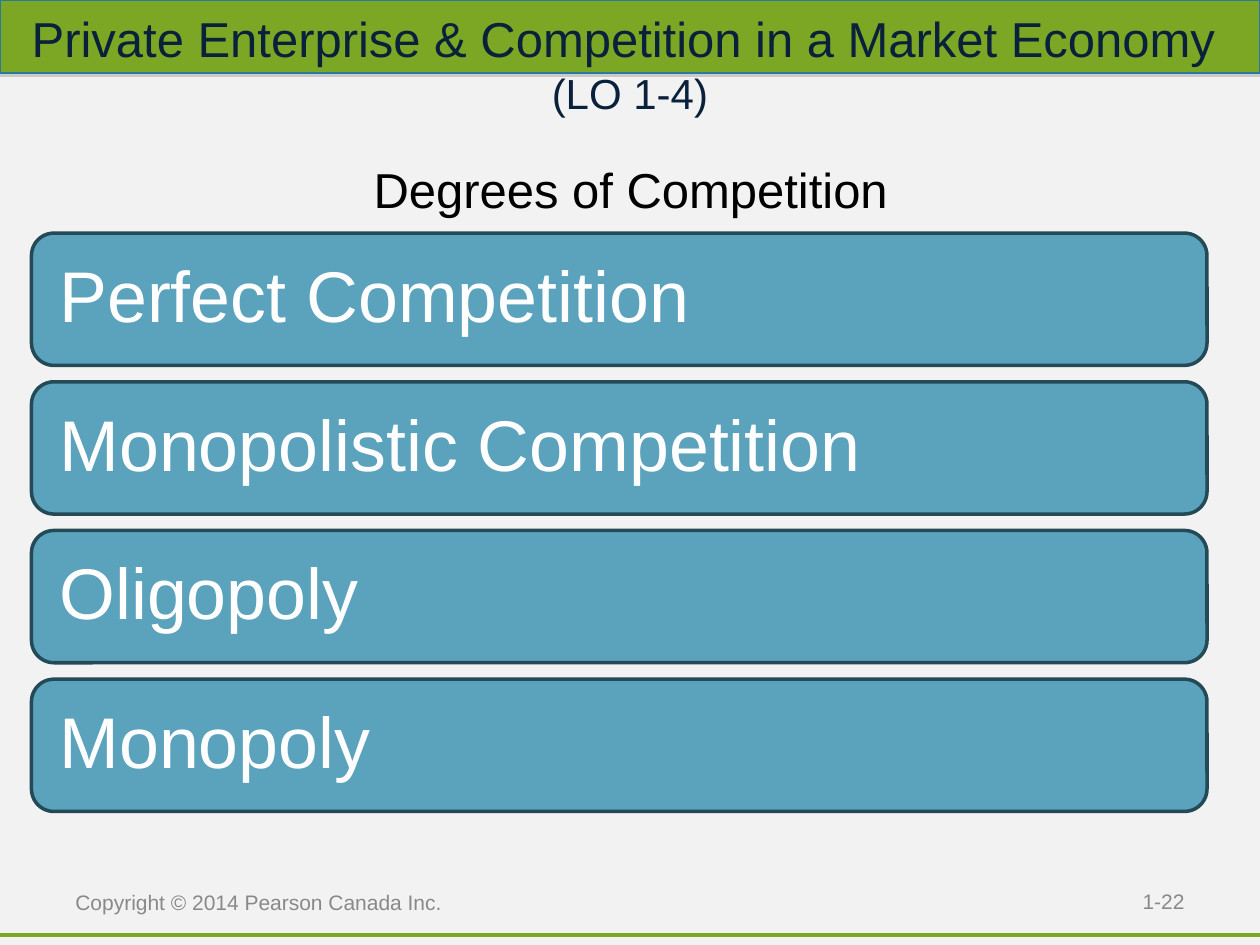
"""Build the slide on the degrees of competition in a market economy."""
from lxml import etree
from pptx import Presentation
from pptx.dml.color import RGBColor
from pptx.enum.shapes import MSO_CONNECTOR, MSO_SHAPE
from pptx.enum.text import MSO_ANCHOR, PP_ALIGN
from pptx.oxml.ns import qn
from pptx.util import Inches, Pt

LEFT, CENTER, RIGHT = PP_ALIGN.LEFT, PP_ALIGN.CENTER, PP_ALIGN.RIGHT
TOP, MIDDLE = MSO_ANCHOR.TOP, MSO_ANCHOR.MIDDLE
RECTANGLE, ROUNDED = MSO_SHAPE.RECTANGLE, MSO_SHAPE.ROUNDED_RECTANGLE
STRAIGHT = MSO_CONNECTOR.STRAIGHT

COLORS = {
    "background": "F2F2F2", "green": "7CA724", "bar_line": "287A9E",
    "shadow": "808080", "title": "09213B", "heading": "000000",
    "footer": "898989", "panel": "5BA2BC", "panel_line": "244A58",
    "panel_text": "FFFFFF",
}
FONT = "Arial"
DEGREES = ["Perfect Competition", "Monopolistic Competition", "Oligopoly", "Monopoly"]
PANEL_TOP, PANEL_HEIGHT, PANEL_STEP = 1.85, 1.05, 1.18


def color(name):
    return RGBColor.from_string(COLORS[name])


def write(shape, text, size, ink, align=LEFT, anchor=MIDDLE, insets=(0.1, 0.05),
          spacing=None, after=None, last_size=None):
    """Write lines of text into a shape; last_size applies to the last line."""
    frame = shape.text_frame
    frame.word_wrap = True
    frame.vertical_anchor = anchor
    frame.margin_left = frame.margin_right = Inches(insets[0])
    frame.margin_top = frame.margin_bottom = Inches(insets[1])
    paragraph = frame.paragraphs[0]
    paragraph.alignment = align
    paragraph.line_spacing = spacing
    if after is not None:
        paragraph.space_after = Pt(after)
    lines = text.split("\n")
    for index, line in enumerate(lines):
        if index:
            paragraph.add_line_break()
        run = paragraph.add_run()
        run.text = line
        is_last = index == len(lines) - 1
        run.font.size = Pt(last_size if last_size and is_last else size)
        run.font.name = FONT
        run.font.color.rgb = color(ink)


class SlideBuilder:
    """Holds the current slide and draws its elements in one style."""

    def __init__(self, presentation):
        self.slide = presentation.slides.add_slide(presentation.slide_layouts[6])
        fill = self.slide.background.fill
        fill.solid()
        fill.fore_color.rgb = color("background")

    def line(self, start, end, ink, width):
        points = [Inches(value) for value in (*start, *end)]
        connector = self.slide.shapes.add_connector(STRAIGHT, *points)
        connector.line.color.rgb = color(ink)
        connector.line.width = Pt(width)
        etree.SubElement(connector._element.spPr, qn("a:effectLst"))

    def box(self, kind, bounds, fill, outline, width):
        shape = self.slide.shapes.add_shape(kind, *map(Inches, bounds))
        shape.shadow.inherit = False
        shape.fill.solid()
        shape.fill.fore_color.rgb = color(fill)
        shape.line.color.rgb = color(outline)
        shape.line.width = Pt(width)
        return shape

    def bar(self, bounds):
        shape = self.box(RECTANGLE, bounds, "green", "bar_line", 0.75)
        effects = shape._element.spPr.find(qn("a:effectLst"))
        shadow = etree.SubElement(effects, qn("a:outerShdw"), dist=str(Pt(1.8)),
                                  dir="5400000", rotWithShape="0")
        tint = etree.SubElement(shadow, qn("a:srgbClr"), val=COLORS["shadow"])
        etree.SubElement(tint, qn("a:alpha"), val="35000")

    def panel(self, bounds, text):
        shape = self.box(ROUNDED, bounds, "panel", "panel_line", 2)
        shape.adjustments[0] = 0.17
        write(shape, text, 41, "panel_text", insets=(0.17, 0.17), spacing=0.9, after=17.9)

    def text(self, bounds, text, size, ink, **style):
        shape = self.slide.shapes.add_textbox(*map(Inches, bounds))
        write(shape, text, size, ink, **style)


def main():
    presentation = Presentation()
    presentation.slide_width, presentation.slide_height = Inches(10), Inches(7.5)
    builder = SlideBuilder(presentation)
    builder.line((0, 7.42), (10, 7.42), "green", 2)
    builder.bar((0, 0, 10, 0.58))
    builder.text((0, 0, 10, 1),
                 "Private Enterprise & Competition in a Market Economy \n(LO 1-4)",
                 28, "title", align=CENTER, insets=(0.25, 0.25), last_size=24)
    builder.text((0.42, 1.17, 9.17, 0.75), "Degrees of Competition", 28, "heading",
                 align=CENTER, anchor=TOP, spacing=1.1)
    builder.text((0.5, 7, 3.17, 0.32), "Copyright © 2014 Pearson Canada Inc.", 12, "footer")
    builder.text((7.17, 6.95, 2.33, 0.4), "1-22", 12, "footer", align=RIGHT)
    for index, degree in enumerate(DEGREES):
        top = PANEL_TOP + index * PANEL_STEP
        builder.panel((0.25, top, 9.33, PANEL_HEIGHT), degree)
    presentation.save("out.pptx")


if __name__ == "__main__":
    main()
